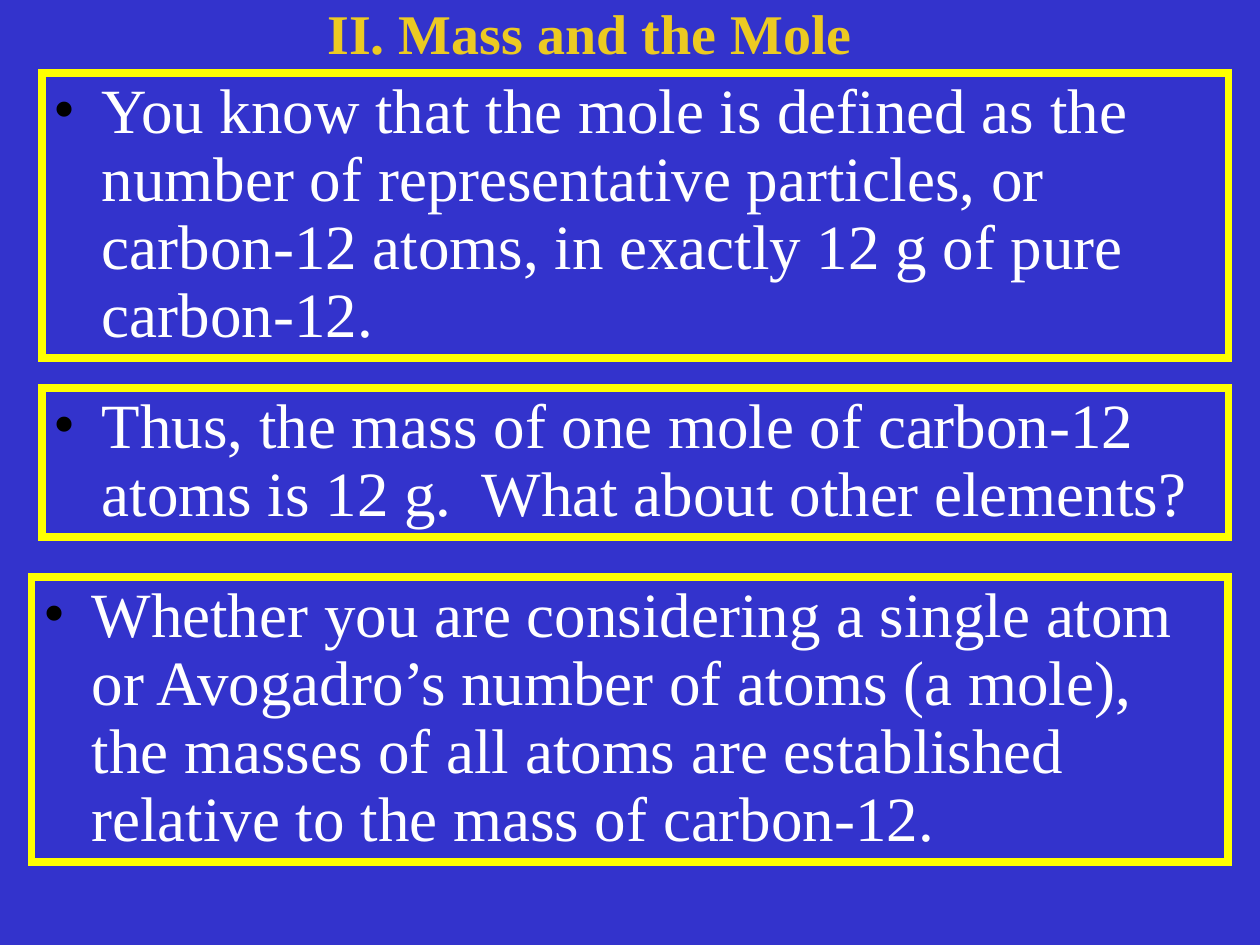
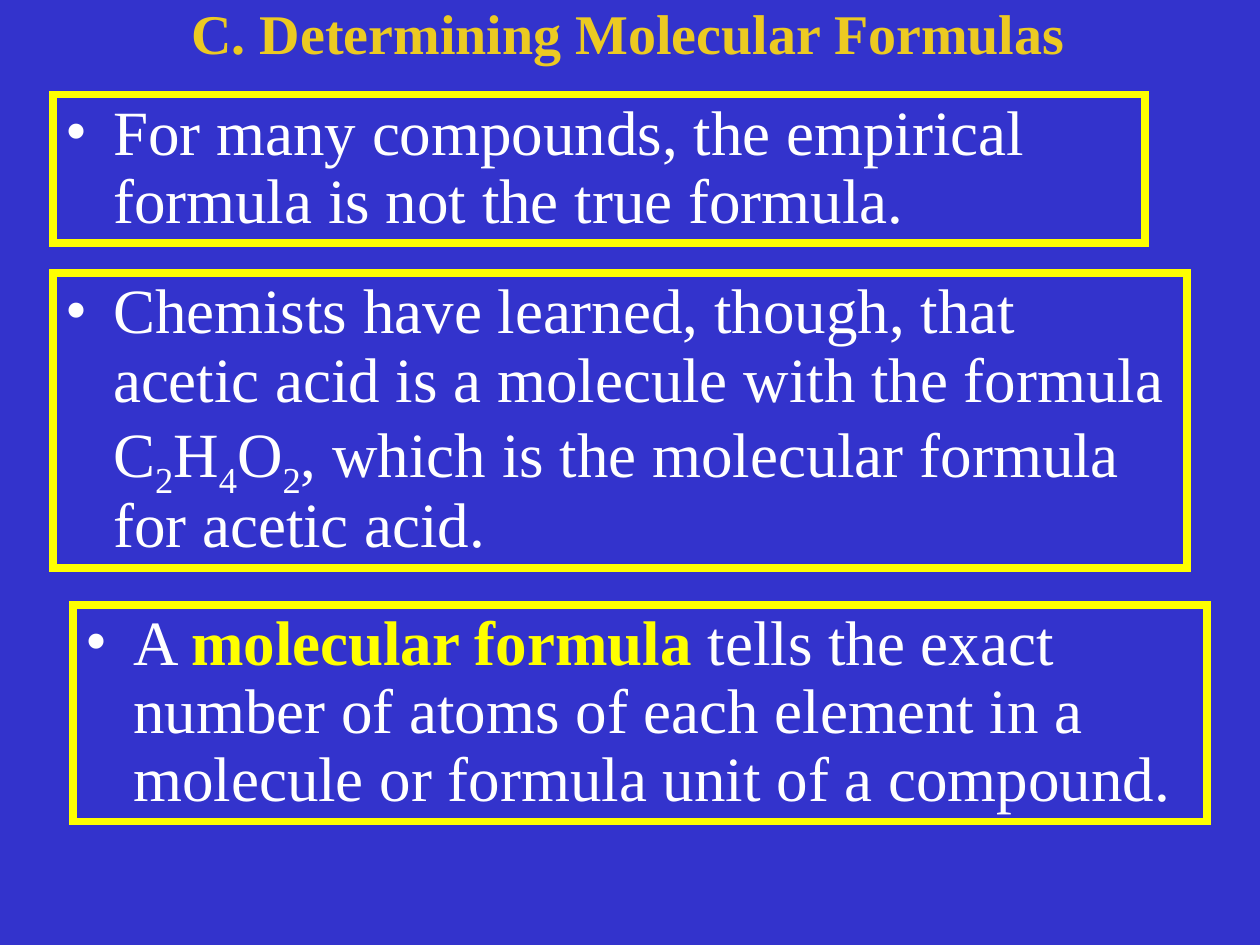
from dataclasses import dataclass

from lxml.etree import SubElement
from pptx import Presentation
from pptx.dml.color import RGBColor
from pptx.enum.shapes import MSO_SHAPE
from pptx.enum.text import MSO_ANCHOR, PP_ALIGN
from pptx.oxml.ns import qn
from pptx.util import Emu, Pt

EMU_PER_PX = 9144  # 100 px to the inch


@dataclass(frozen=True)
class Theme:
    font: str = "Times New Roman"
    background: str = "3333CC"
    title: str = "ECCA22"
    accent: str = "FFFF00"
    body: str = "FFFFFF"
    dark_bullet: str = "000000"
    title_size: int = 32
    body_size: int = 36
    border: float = 4.5
    line_spacing: float = 0.9
    indent: int = 38


THEME = Theme()


def px(length):
    return Emu(length * EMU_PER_PX)


def rgb(value):
    return RGBColor.from_string(value)


def add_slide(deck):
    slide = deck.slides.add_slide(deck.slide_layouts[6])
    slide.background.fill.solid()
    slide.background.fill.fore_color.rgb = rgb(THEME.background)
    return slide


def style_paragraph(paragraph, size, color):
    paragraph.alignment = PP_ALIGN.LEFT
    paragraph.line_spacing = THEME.line_spacing
    paragraph.font.name = THEME.font
    paragraph.font.size = Pt(size)
    paragraph.font.color.rgb = rgb(color)


def add_title(slide, text, left, width):
    title = slide.shapes.add_textbox(px(left), 0, px(width), px(58))
    title.text_frame.word_wrap = True
    heading = title.text_frame.paragraphs[0]
    heading.text = text
    style_paragraph(heading, THEME.title_size, THEME.title)
    heading.font.bold = True


def add_bullet(paragraph, color):
    properties = paragraph._p.get_or_add_pPr()
    properties.set("marL", str(px(THEME.indent)))
    properties.set("indent", str(-px(THEME.indent)))
    bullet_color = SubElement(properties, qn("a:buClr"))
    SubElement(bullet_color, qn("a:srgbClr"), val=color)
    SubElement(properties, qn("a:buFont"), typeface=THEME.font)
    SubElement(properties, qn("a:buChar"), char="•")


def add_frame(slide, bounds):
    """Add an unfilled rectangle with a square-cornered border."""
    frame = slide.shapes.add_shape(MSO_SHAPE.RECTANGLE, *map(px, bounds))
    frame.shadow.inherit = False
    frame.fill.background()
    frame.line.color.rgb = rgb(THEME.accent)
    frame.line.width = Pt(THEME.border)
    border = frame._element.spPr.find(qn("a:ln"))
    SubElement(border, qn("a:miter"), lim="800000")
    return frame


def add_statement(slide, bounds, parts, bullet_color):
    """Add a framed bullet; parts are (text, role) with role None, "sub" or "key"."""
    frame = add_frame(slide, bounds)
    frame.text_frame.word_wrap = True
    frame.text_frame.vertical_anchor = MSO_ANCHOR.TOP
    statement = frame.text_frame.paragraphs[0]
    statement.line_spacing = THEME.line_spacing
    add_bullet(statement, bullet_color)
    style_paragraph(statement, THEME.body_size, THEME.body)
    for text, role in parts:
        run = statement.add_run()
        run.text = text
        run.font.color.rgb = rgb(THEME.accent if role == "key" else THEME.body)
        if role == "key":
            run.font.bold = True
        elif role == "sub":
            run._r.get_or_add_rPr().set("baseline", "-25000")


def formula_parts(formula):
    return [(symbol, "sub" if symbol.isdigit() else None) for symbol in formula]


def build_mass_and_mole(deck):
    slide = add_slide(deck)
    statements = [
        ((33, 58, 942, 226),
         "You know that the mole is defined as the number of representative "
         "particles, or carbon-12 atoms, in exactly 12 g of pure carbon-12."),
        ((33, 308, 942, 118),
         "Thus, the mass of one mole of carbon-12 atoms is 12 g.  "
         "What about other elements?"),
        ((25, 458, 950, 226),
         "Whether you are considering a single atom or Avogadro’s number of "
         "atoms (a mole), the masses of all atoms are established relative to "
         "the mass of carbon-12."),
    ]
    add_title(slide, "II. Mass and the Mole", 250, 450)
    for bounds, text in statements:
        add_statement(slide, bounds, [(text, None)], THEME.dark_bullet)


def build_molecular_formulas(deck):
    slide = add_slide(deck)
    statements = [
        ((42, 75, 867, 118),
         [("For many compounds, the empirical formula is not the true formula.",
           None)]),
        ((42, 217, 900, 234),
         [("Chemists have learned, though, that acetic acid is a molecule with "
           "the formula ", None),
          *formula_parts("C2H4O2"),
          (", which is the molecular formula for acetic acid.", None)]),
        ((58, 480, 900, 172),
         [("A ", None),
          ("molecular formula", "key"),
          (" tells the exact number of atoms of each element in a molecule or "
           "formula unit of a compound.", None)]),
    ]
    add_title(slide, "C. Determining Molecular Formulas", 142, 742)
    for bounds, parts in statements:
        add_statement(slide, bounds, parts, THEME.body)


def main():
    deck = Presentation()
    deck.slide_width, deck.slide_height = px(1000), px(750)
    build_mass_and_mole(deck)
    build_molecular_formulas(deck)
    deck.save("out.pptx")


if __name__ == "__main__":
    main()
